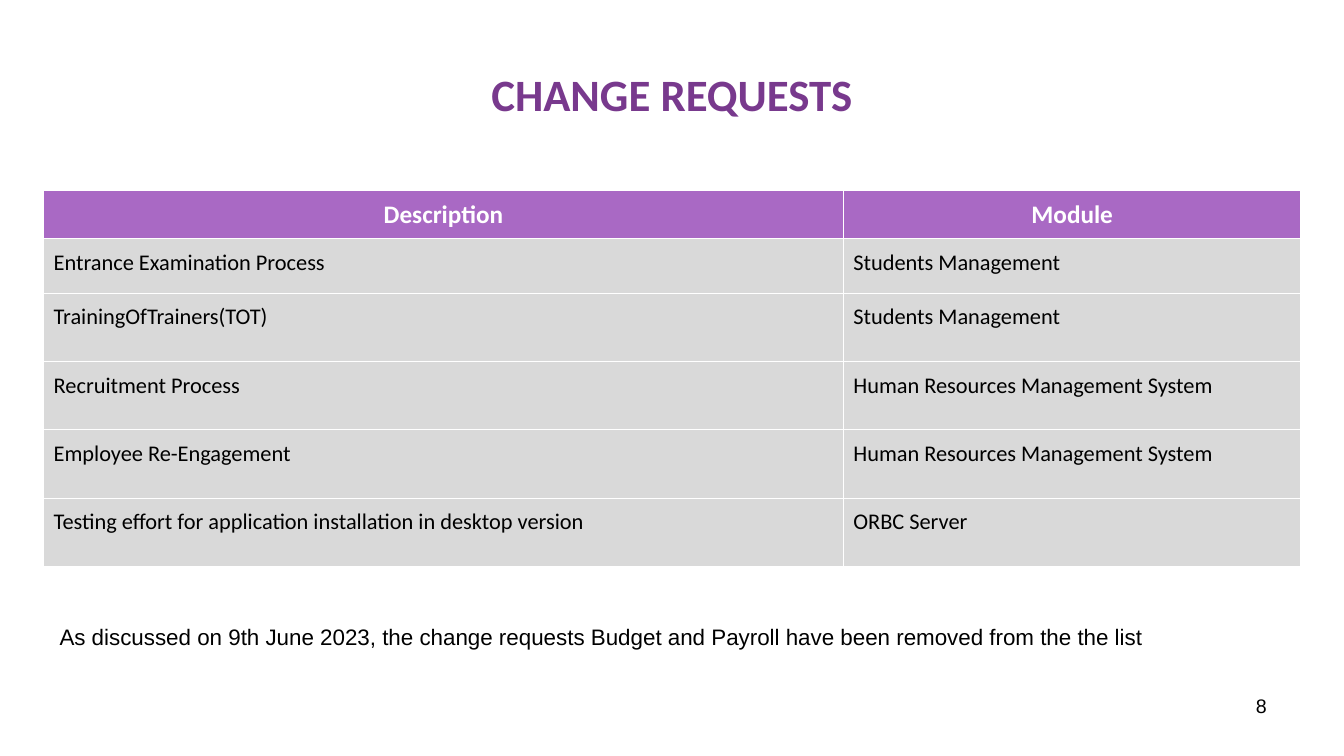
from dataclasses import dataclass

from lxml import etree
from pptx import Presentation
from pptx import util as u
from pptx.dml.color import RGBColor
from pptx.enum import text
from pptx.oxml import ns

COLORS = {"title": "78398D", "header": "A969C4", "body": "D9D9D9",
          "ink": "000000", "white": "FFFFFF"}

# Slide and its grid of 160 columns by 90 rows
prs = Presentation()
prs.slide_width, prs.slide_height = u.Inches(13.33), u.Inches(7.5)
COL, ROW = prs.slide_width / 160, prs.slide_height / 90
slide = prs.slides.add_slide(prs.slide_layouts[6])


@dataclass
class Style:
    size: int
    font: str
    color: str
    bold: bool = False
    align: text.PP_ALIGN = text.PP_ALIGN.LEFT
    anchor: text.MSO_ANCHOR = text.MSO_ANCHOR.TOP
    spacing: float = 1.0


@dataclass
class Label:
    words: str
    col: float
    row: float
    cols: float
    rows: float
    style: Style


def cols(n: float) -> int:
    return round(n * COL)


def rows(n: float) -> int:
    return round(n * ROW)


def write(tf, words: str, style: Style) -> None:
    tf.text = words
    p = tf.paragraphs[0]
    p.alignment, p.line_spacing = style.align, style.spacing
    font = p.runs[0].font
    font.size, font.name, font.bold = u.Pt(style.size), style.font, style.bold
    font.color.rgb = RGBColor.from_string(COLORS[style.color])


def add_label(label: Label) -> None:
    sp = slide.shapes.add_textbox(cols(label.col), rows(label.row),
                                  cols(label.cols), rows(label.rows))
    tf = sp.text_frame
    tf.word_wrap = True
    tf.vertical_anchor = label.style.anchor
    write(tf, label.words, label.style)


def add_borders(cell) -> None:
    tc_pr = cell._tc.get_or_add_tcPr()
    for i, side in enumerate(("lnL", "lnR", "lnT", "lnB")):
        ln = etree.Element(ns.qn(f"a:{side}"), w=str(u.Pt(1)))
        fill = etree.SubElement(ln, ns.qn("a:solidFill"))
        etree.SubElement(fill, ns.qn("a:srgbClr"), val=COLORS["white"])
        tc_pr.insert(i, ln)


def fill_cell(cell, words: str, style: Style, fill: str) -> None:
    write(cell.text_frame, words, style)
    cell.vertical_anchor = style.anchor
    cell.fill.solid()
    cell.fill.fore_color.rgb = RGBColor.from_string(COLORS[fill])
    add_borders(cell)


CENTER, MIDDLE = text.PP_ALIGN.CENTER, text.MSO_ANCHOR.MIDDLE
TITLE = Style(32, "Calibri", "title", True, CENTER, MIDDLE)
HEADER = Style(18, "Calibri", "white", True, CENTER, MIDDLE)
BODY = Style(16, "Calibri", "ink", spacing=1.2)
NOTE = Style(16, "Arial", "ink")
NUMBER = Style(14, "Arial", "ink", align=text.PP_ALIGN.RIGHT)

# Title, closing note and slide number
for label in (
    Label("CHANGE REQUESTS", 8, 3.6, 144, 15, TITLE),
    Label("As discussed on 9th June 2023, the change requests Budget and "
          "Payroll have been removed from the the list",
          5.9, 73.6, 146.1, 4.4, NOTE),
    Label("8", 114.7, 82, 37.3, 6.2, NUMBER),
):
    add_label(label)

# Change request table
REQUESTS = [
    ("Description", "Module"),
    ("Entrance Examination Process", "Students Management"),
    ("TrainingOfTrainers(TOT)", "Students Management"),
    ("Recruitment Process", "Human Resources Management System"),
    ("Employee Re-Engagement", "Human Resources Management System"),
    ("Testing effort for application installation in desktop version",
     "ORBC Server"),
]
WIDTHS = [95.2, 54.5]
HEIGHTS = [5.7, 6.5] + [8.14] * 4

table = slide.shapes.add_table(
    len(REQUESTS), len(WIDTHS), cols(5.2), rows(22.7),
    cols(sum(WIDTHS)), rows(sum(HEIGHTS))).table
for column, width in zip(table.columns, WIDTHS):
    column.width = cols(width)
for i, (request, height) in enumerate(zip(REQUESTS, HEIGHTS)):
    table.rows[i].height = rows(height)
    style, fill = (BODY, "body") if i else (HEADER, "header")
    for j, words in enumerate(request):
        fill_cell(table.cell(i, j), words, style, fill)

prs.save("out.pptx")
